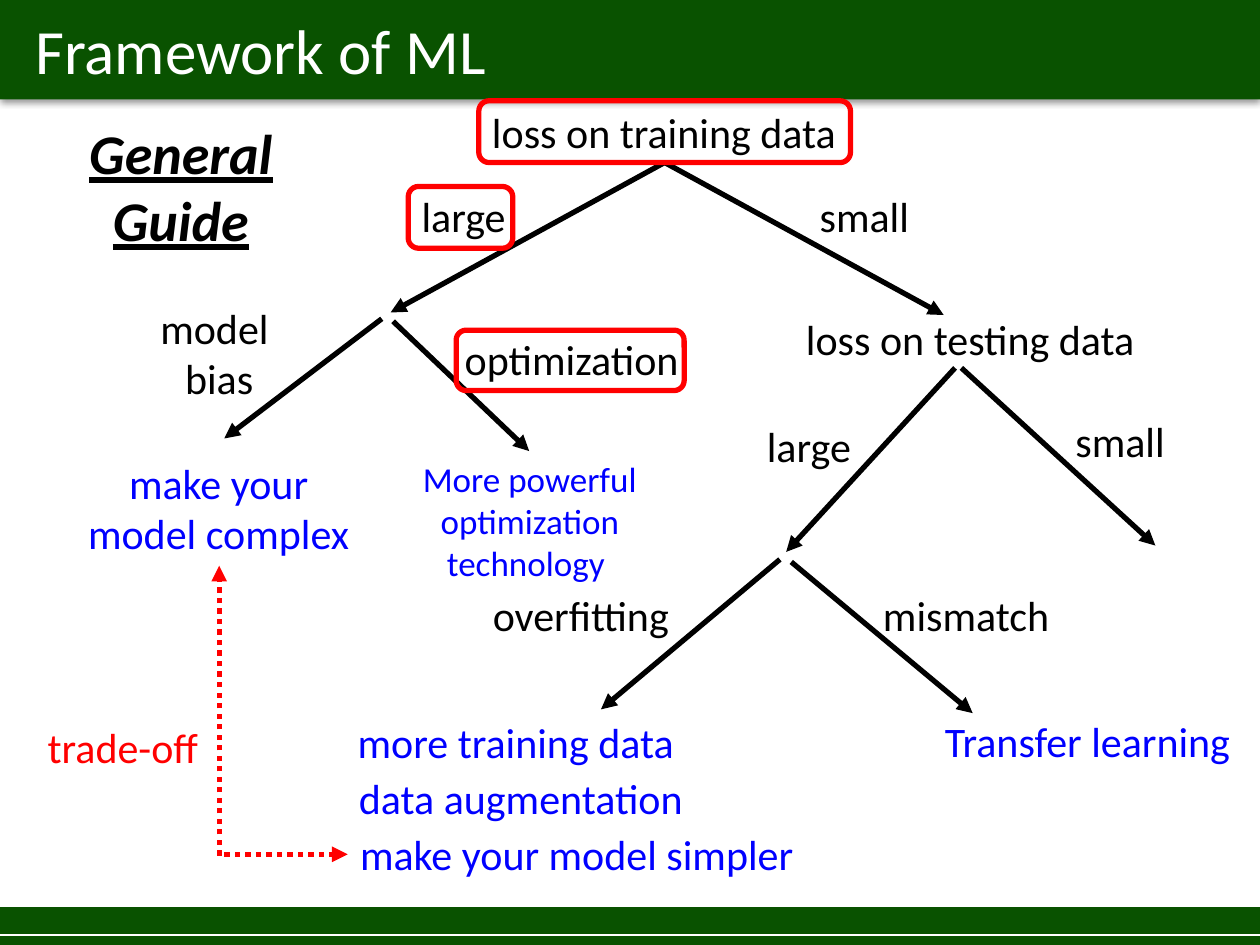
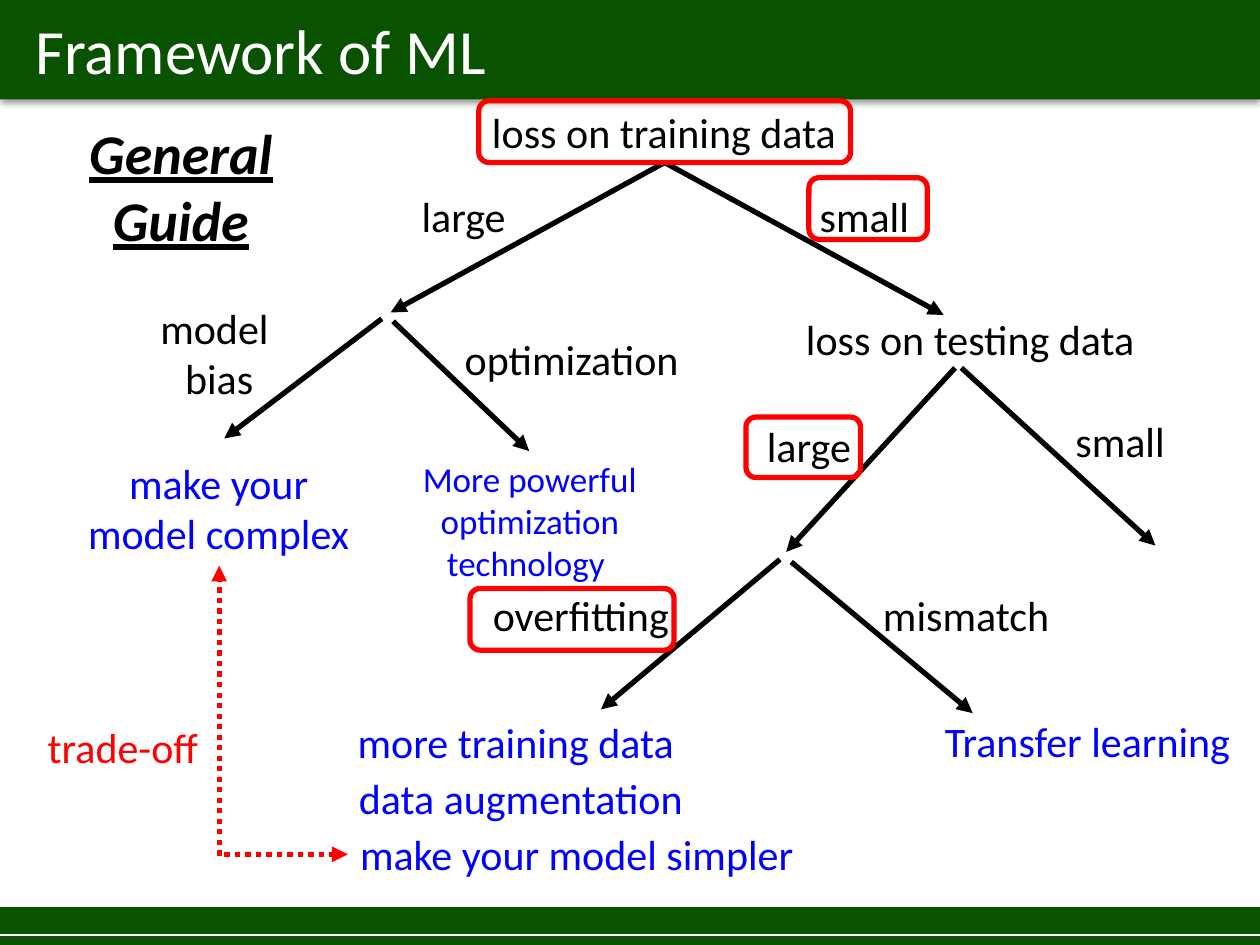
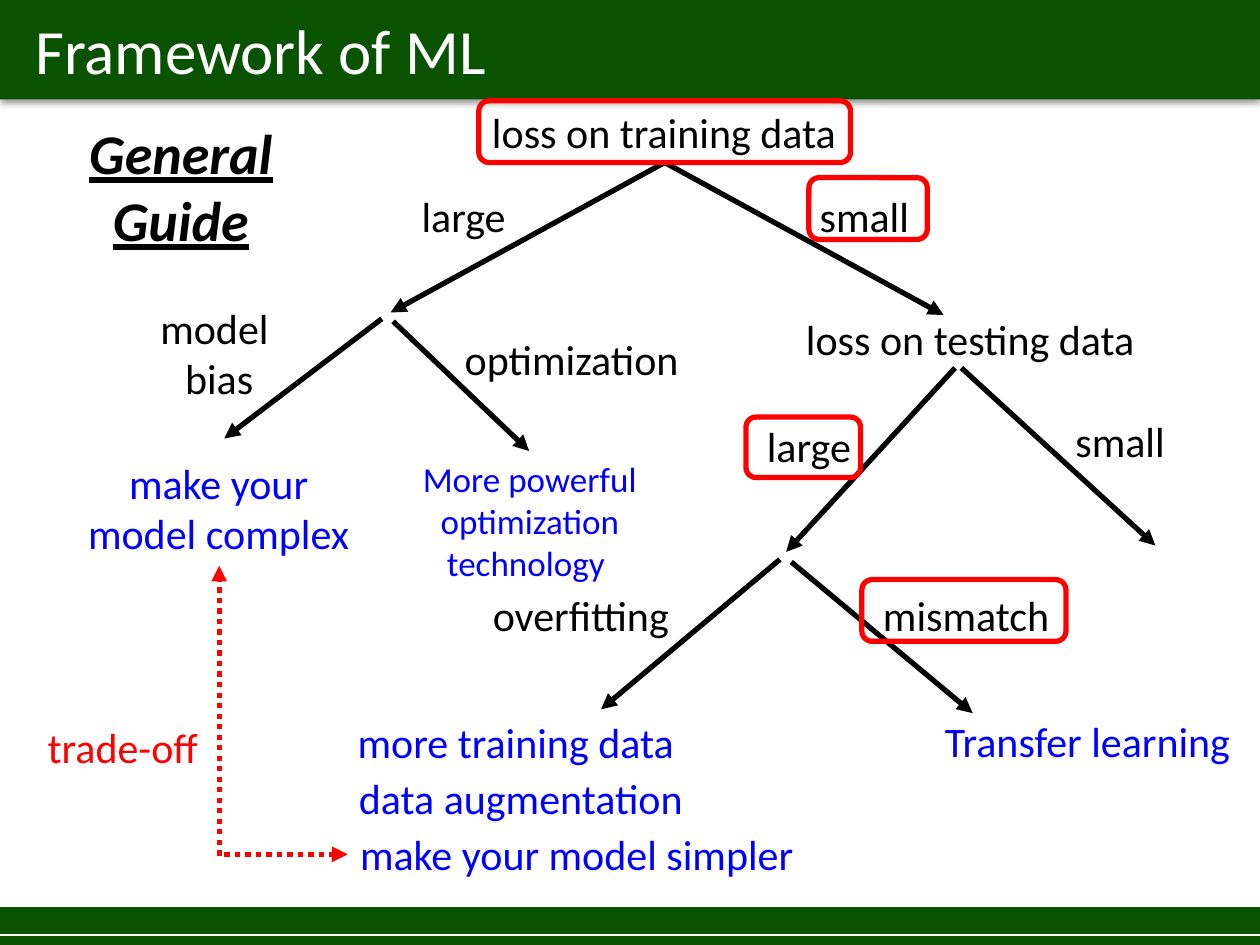
from dataclasses import dataclass

from lxml.etree import SubElement
from pptx import Presentation
from pptx.dml.color import RGBColor
from pptx.enum.dml import MSO_LINE
from pptx.enum.shapes import MSO_CONNECTOR, MSO_SHAPE
from pptx.enum.text import MSO_ANCHOR, MSO_AUTO_SIZE, PP_ALIGN
from pptx.oxml.ns import qn
from pptx.shapes.autoshape import Shape
from pptx.shapes.connector import Connector
from pptx.slide import Slide
from pptx.util import Inches, Pt

FONT = "Calibri"
GREEN = RGBColor(0x09, 0x52, 0x00)
WHITE = RGBColor(0xFF, 0xFF, 0xFF)
BLACK = RGBColor(0x00, 0x00, 0x00)
BLUE = RGBColor(0x00, 0x00, 0xFF)
RED = RGBColor(0xFF, 0x00, 0x00)
LEFT, CENTER = PP_ALIGN.LEFT, PP_ALIGN.CENTER
BOTTOM_SIDE = 2


@dataclass(frozen=True)
class Label:
    text: str
    left: float
    top: float
    width: float
    height: float = 0.5
    color: RGBColor = BLACK
    align: PP_ALIGN = CENTER
    size: int = 24
    emphasis: bool = False


@dataclass(frozen=True)
class Arrow:
    start: tuple[float, float]
    end: tuple[float, float]
    color: RGBColor = BLACK
    dotted: bool = False


@dataclass(frozen=True)
class Ring:
    left: float
    top: float
    width: float
    height: float = 0.49


LABELS = [
    Label("General Guide", 0.49, 0.89, 1.89, 1.18, size=32, emphasis=True),
    # Questions and branches
    Label("loss on training data", 3.17, 0.8, 4.2),
    Label("large", 2.83, 1.46, 1.7),
    Label("small", 6.01, 1.46, 1.7),
    Label("model \nbias", 0.89, 2.35, 1.7, 0.91),
    Label("optimization", 3.59, 2.6, 2.04, align=LEFT),
    Label("loss on testing data", 6.01, 2.44, 3.38),
    Label("large", 5.57, 3.29, 1.7),
    Label("small", 8.04, 3.25, 1.7),
    Label("overfitting", 3.59, 4.63, 2.04),
    Label("mismatch", 6.91, 4.63, 2.04, align=LEFT),
    # Remedies
    Label("make your model complex", 0.52, 3.58, 2.43, 0.91, BLUE),
    Label("More powerful optimization technology ", 2.99, 3.58, 2.43, 1.11, BLUE, size=20),
    Label("more training data", 2.74, 5.64, 4.75, color=BLUE, align=LEFT),
    Label("data augmentation", 2.75, 6.08, 3.73, color=BLUE, align=LEFT),
    Label("make your model simpler", 2.76, 6.53, 3.96, color=BLUE, align=LEFT),
    Label("Transfer learning", 7.4, 5.63, 2.57, color=BLUE, align=LEFT),
    Label("trade-off", 0.28, 5.68, 1.66, color=RED, align=LEFT),
]

ROOT_ARROWS = [
    Arrow((5.27, 1.29), (3.1, 2.48)),
    Arrow((5.28, 1.3), (7.49, 2.5)),
]
BRANCH_ARROWS = [
    Arrow((3.03, 2.53), (1.78, 3.48)),
    Arrow((3.12, 2.55), (4.2, 3.58)),
    Arrow((7.58, 2.92), (6.24, 4.38)),
    Arrow((7.63, 2.92), (9.17, 4.33)),
    Arrow((6.19, 4.44), (4.77, 5.63)),
    Arrow((6.28, 4.46), (7.72, 5.66)),
]
TRADE_OFF_ARROWS = [
    Arrow((1.74, 6.79), (1.74, 4.49), RED, dotted=True),
    Arrow((1.78, 6.78), (2.76, 6.78), RED, dotted=True),
]

TRAINING_LOSS = Ring(3.8, 0.8, 2.95)
SMALL_TRAINING_LOSS = Ring(6.42, 1.41, 0.94)
LARGE_TESTING_LOSS = Ring(5.92, 3.31, 0.91, 0.48)

# Steps highlighted after the training loss, one list per slide
HIGHLIGHTED_STEPS = [
    [Ring(3.24, 1.48, 0.83), Ring(3.62, 2.62, 1.81, 0.48)],
    [SMALL_TRAINING_LOSS, LARGE_TESTING_LOSS, Ring(3.73, 4.67, 1.62)],
    [SMALL_TRAINING_LOSS, LARGE_TESTING_LOSS, Ring(6.84, 4.6, 1.62)],
]


def add_band(slide: Slide, top: float, height: float) -> Shape:
    band = slide.shapes.add_shape(
        MSO_SHAPE.RECTANGLE, 0, Inches(top), Inches(10), Inches(height))
    band.fill.solid()
    band.fill.fore_color.rgb = GREEN
    band.line.fill.background()
    band.shadow.inherit = False
    return band


def add_line(slide: Slide, start: tuple[float, float], end: tuple[float, float],
             color: RGBColor, weight: float) -> Connector:
    line = slide.shapes.add_connector(
        MSO_CONNECTOR.STRAIGHT, *(Inches(value) for value in (*start, *end)))
    line.line.color.rgb = color
    line.line.width = Pt(weight)
    SubElement(line._element.spPr, qn("a:effectLst"))
    return line


def add_arrow(slide: Slide, arrow: Arrow) -> Connector:
    line = add_line(slide, arrow.start, arrow.end, arrow.color, 3)
    if arrow.dotted:
        line.line.dash_style = MSO_LINE.ROUND_DOT
    SubElement(line.line._get_or_add_ln(), qn("a:tailEnd"), type="triangle")
    return line


def add_label(slide: Slide, label: Label) -> None:
    box = slide.shapes.add_textbox(
        Inches(label.left), Inches(label.top), Inches(label.width), Inches(label.height))
    frame = box.text_frame
    frame.word_wrap = True
    frame.auto_size = MSO_AUTO_SIZE.SHAPE_TO_FIT_TEXT
    frame.text = label.text
    for paragraph in frame.paragraphs:
        paragraph.alignment = label.align
        font = paragraph.font
        font.name, font.size = FONT, Pt(label.size)
        font.color.rgb = label.color
        if label.emphasis:
            font.bold = font.italic = font.underline = True


def add_ring(slide: Slide, ring: Ring) -> Shape:
    outline = slide.shapes.add_shape(
        MSO_SHAPE.ROUNDED_RECTANGLE, Inches(ring.left), Inches(ring.top),
        Inches(ring.width), Inches(ring.height))
    outline.fill.background()
    outline.line.color.rgb = RED
    outline.line.width = Pt(3)
    outline.shadow.inherit = False
    return outline


def add_header(slide: Slide, title: str) -> None:
    header = add_band(slide, -0.01, 0.8)
    effects = header._element.spPr.find(qn("a:effectLst"))
    shadow = SubElement(effects, qn("a:outerShdw"), blurRad=str(Pt(4)),
                        dist=str(Pt(1)), dir="5400000", rotWithShape="0")
    shade = SubElement(shadow, qn("a:srgbClr"), val=str(BLACK))
    SubElement(shade, qn("a:alpha"), val="40000")

    frame = header.text_frame
    frame.margin_left = Inches(0.28)
    frame.vertical_anchor = MSO_ANCHOR.MIDDLE
    frame.text = title
    heading = frame.paragraphs[0]
    heading.alignment = LEFT
    heading.font.name, heading.font.size = FONT, Pt(36)
    heading.font.color.rgb = WHITE


def add_footer(slide: Slide) -> None:
    add_band(slide, 7.2, 0.3)
    add_line(slide, (0, 7.42), (10, 7.42), WHITE, 0.75)


def add_guide(slide: Slide, steps: list[Ring]) -> None:
    add_header(slide, "Framework of ML")
    add_footer(slide)
    for label in LABELS:
        add_label(slide, label)

    # Decision tree and the trade-off between its remedies
    root_arrows = [add_arrow(slide, arrow) for arrow in ROOT_ARROWS]
    for arrow in BRANCH_ARROWS + TRADE_OFF_ARROWS:
        add_arrow(slide, arrow)

    # Highlighted route, starting at the training loss
    root = add_ring(slide, TRAINING_LOSS)
    for arrow in root_arrows:
        arrow.begin_connect(root, BOTTOM_SIDE)
    for step in steps:
        add_ring(slide, step)


def main() -> None:
    deck = Presentation()
    deck.slide_width, deck.slide_height = Inches(10), Inches(7.5)
    blank = deck.slide_layouts[6]
    for steps in HIGHLIGHTED_STEPS:
        add_guide(deck.slides.add_slide(blank), steps)
    deck.save("out.pptx")


if __name__ == "__main__":
    main()
